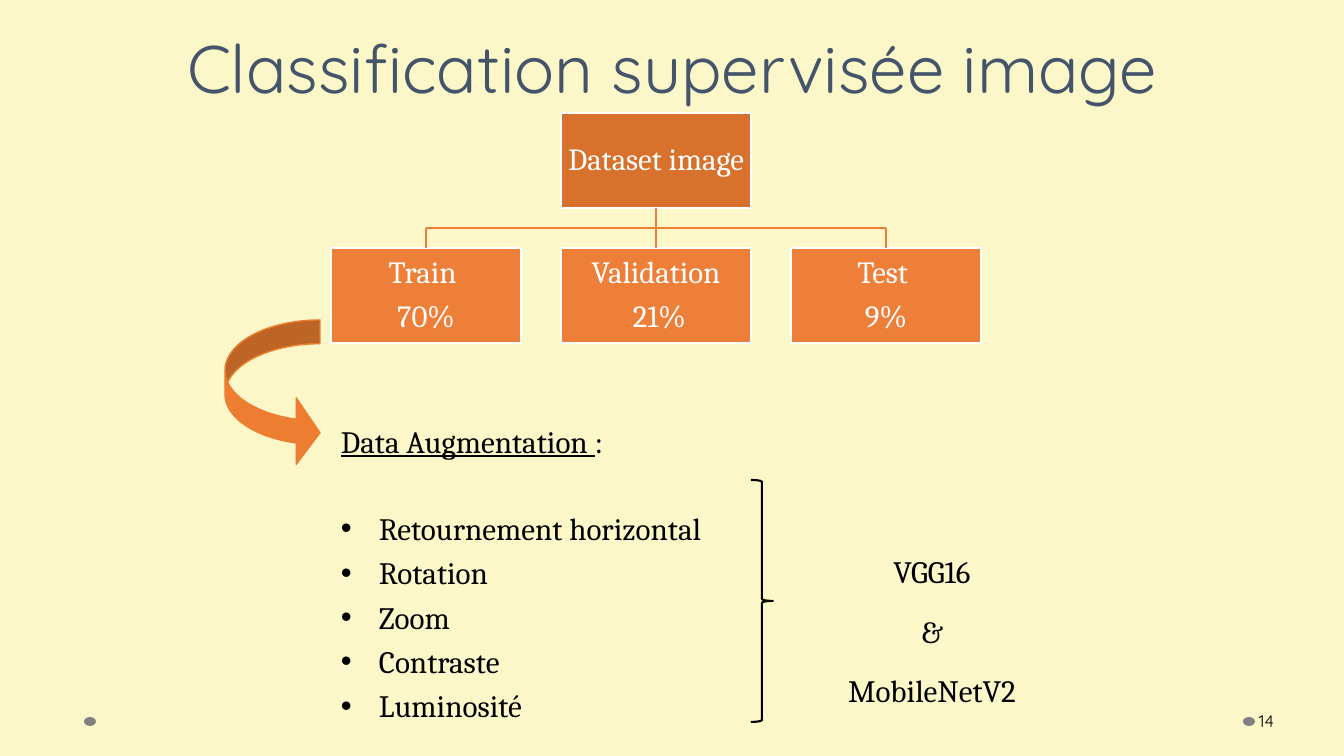
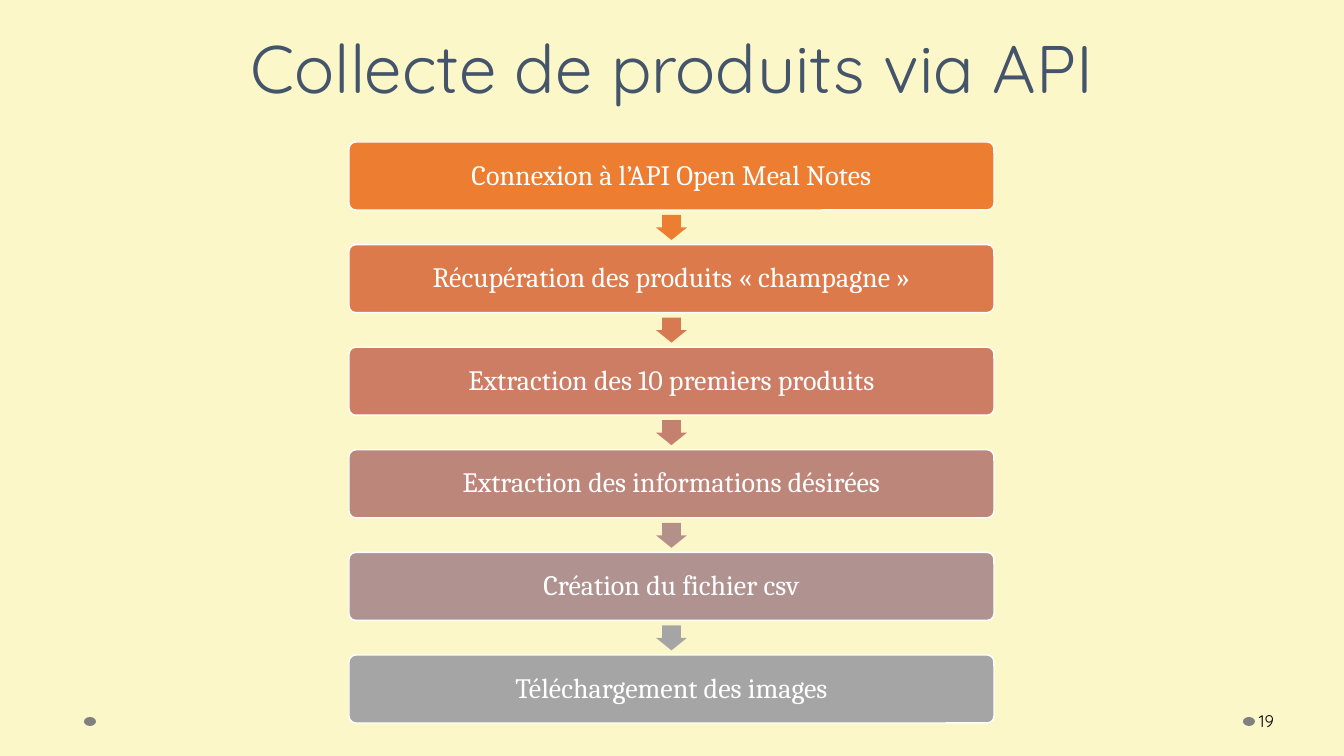
from lxml.etree import SubElement
from pptx import Presentation
from pptx.dml.color import RGBColor
from pptx.enum.shapes import MSO_CONNECTOR, MSO_SHAPE
from pptx.enum.text import MSO_ANCHOR, MSO_AUTO_SIZE, PP_ALIGN
from pptx.oxml.ns import qn
from pptx.util import Pt

PX = 914400 / 100.8
CREAM = RGBColor(0xFC, 0xF7, 0xC9)
SLATE = RGBColor(0x44, 0x54, 0x6A)
GRAY = RGBColor(0x80, 0x80, 0x80)
WHITE = RGBColor(0xFF, 0xFF, 0xFF)
BLACK = RGBColor(0x00, 0x00, 0x00)
ORANGE = RGBColor(0xED, 0x7D, 0x31)
LIGHT_ORANGE = RGBColor(0xED, 0x7F, 0x39)
DARK_ORANGE = RGBColor(0xD7, 0x71, 0x2C)
STEP_COLORS = [ORANGE, RGBColor(0xDC, 0x7A, 0x4B), RGBColor(0xCC, 0x7D, 0x64),
               RGBColor(0xBD, 0x86, 0x7B), RGBColor(0xB0, 0x93, 0x91),
               RGBColor(0xA5, 0xA5, 0xA5)]
ARROW_COLORS = [ORANGE, RGBColor(0xD8, 0x7A, 0x51), RGBColor(0xC4, 0x81, 0x70),
                RGBColor(0xB4, 0x90, 0x8B), RGBColor(0xA5, 0xA5, 0xA5)]


def draw(slide, preset, box, fill=None, line=None, weight=1, adjust=()):
    shape = slide.shapes.add_shape(preset, *[round(n * PX) for n in box])
    shape.shadow.inherit = False
    if fill is None:
        shape.fill.background()
    else:
        shape.fill.solid()
        shape.fill.fore_color.rgb = fill
    if line is None:
        shape.line.fill.background()
    else:
        shape.line.color.rgb = line
        shape.line.width = Pt(weight)
    for index, value in enumerate(adjust):
        shape.adjustments[index] = value
    return shape


def write(frame, text, font="Cambria", size=22.2, color=BLACK, align=PP_ALIGN.LEFT,
          anchor=MSO_ANCHOR.TOP, inset=None, spacing=None, before=0, after=0,
          underline=None, bullet=False, same_line=False):
    frame.word_wrap = True
    frame.auto_size = MSO_AUTO_SIZE.NONE
    frame.vertical_anchor = anchor
    if inset is not None:
        frame.margin_left = frame.margin_right = round(inset * PX)
        frame.margin_top = frame.margin_bottom = round(inset * PX)
    for line in text.split("\n"):
        paragraph = frame.paragraphs[-1]
        if paragraph.runs and not same_line:
            paragraph = frame.add_paragraph()
        paragraph.alignment = align
        paragraph.line_spacing = spacing
        paragraph.space_before = Pt(before)
        paragraph.space_after = Pt(after)
        if bullet:
            properties = paragraph._p.get_or_add_pPr()
            properties.set("marL", str(round(38 * PX)))
            properties.set("indent", str(round(-38 * PX)))
            SubElement(properties, qn("a:buFont")).set("typeface", "Arial")
            SubElement(properties, qn("a:buChar")).set("char", "•")
        run = paragraph.add_run()
        run.text = line
        run.font.name = font
        run.font.size = Pt(size)
        run.font.color.rgb = color
        run.font.underline = underline


prs = Presentation()
prs.slide_width = round(1344 * PX)
prs.slide_height = round(756 * PX)
background = prs.slide_master.background.fill
background.solid()
background.fore_color.rgb = CREAM

slides = []
for heading, number in [("Classification supervisée image", "14"),
                        ("Collecte de produits via API", "19")]:
    slide = prs.slides.add_slide(prs.slide_layouts[5])
    slides.append(slide)
    title = slide.shapes.title
    title.left, title.top, title.width, title.height = [
        round(n * PX) for n in (67, 0, 1210, 112)]
    write(title.text_frame, heading, font="Quicksand", size=48, color=SLATE,
          align=PP_ALIGN.CENTER, anchor=MSO_ANCHOR.BOTTOM, spacing=Pt(48))
    for dot_left in (84, 1243):
        draw(slide, MSO_SHAPE.OVAL, (dot_left, 717, 12, 9), fill=GRAY)
    page = slide.shapes.add_textbox(*[round(n * PX) for n in (1256, 701, 83, 40)])
    write(page.text_frame, number, font="Quicksand", size=12,
          anchor=MSO_ANCHOR.MIDDLE, inset=3)

classification, collection = slides

node_text = dict(size=22, color=WHITE, align=PP_ALIGN.CENTER,
                 anchor=MSO_ANCHOR.MIDDLE, inset=2, spacing=0.9, after=8)
dataset = draw(classification, MSO_SHAPE.RECTANGLE, (561, 113, 190, 95),
               fill=DARK_ORANGE, line=WHITE)
write(dataset.text_frame, "Dataset image", **node_text)

subsets = []
for index, label in enumerate(["Train \n70%", "Validation\n 21%", "Test \n9%"]):
    subset = draw(classification, MSO_SHAPE.RECTANGLE, (331 + 230 * index, 248, 190, 95),
                  fill=LIGHT_ORANGE, line=WHITE)
    write(subset.text_frame, label, **node_text)
    subsets.append(subset)
train, validation, test = subsets

for start, end, source, target in [((656, 208), (656, 248), dataset, validation),
                                   ((426, 228), (886, 228), None, None),
                                   ((426, 228), (426, 248), None, train),
                                   ((886, 228), (886, 248), None, test)]:
    branch = classification.shapes.add_connector(
        MSO_CONNECTOR.STRAIGHT, *[round(n * PX) for n in start + end])
    branch.line.color.rgb = LIGHT_ORANGE
    branch.line.width = Pt(1)
    SubElement(branch._element.spPr, qn("a:effectLst"))
    if source is not None:
        branch.begin_connect(source, 2)
    if target is not None:
        branch.end_connect(target, 0)

draw(classification, MSO_SHAPE.CURVED_RIGHT_ARROW, (225, 320, 95, 146),
     fill=ORANGE, line=ORANGE, adjust=(0.25, 0.7, 0.25))

augmentation = classification.shapes.add_textbox(
    *[round(n * PX) for n in (331, 417, 400, 309)]).text_frame
write(augmentation, "Data Augmentation ", align=PP_ALIGN.JUSTIFY, underline=True)
write(augmentation, ":", align=PP_ALIGN.JUSTIFY, underline=False, same_line=True)
write(augmentation, "Retournement horizontal", align=PP_ALIGN.JUSTIFY,
      before=36, bullet=True)
write(augmentation, "Rotation\nZoom\nContraste\nLuminosité",
      align=PP_ALIGN.JUSTIFY, before=5, bullet=True)

networks = classification.shapes.add_textbox(
    *[round(n * PX) for n in (794, 533, 276, 178)])
write(networks.text_frame, "VGG16\n&\nMobileNetV2", align=PP_ALIGN.CENTER,
      spacing=1.4, before=5)
draw(classification, MSO_SHAPE.RIGHT_BRACE, (751, 480, 22, 242), line=BLACK, weight=1.5)

steps = ["Connexion à l’API Open Meal Notes",
         "Récupération des produits « champagne »",
         "Extraction des 10 premiers produits",
         "Extraction des informations désirées",
         "Création du fichier csv",
         "Téléchargement des images"]
FIRST_TOP, LAST_TOP, STEP_HEIGHT = 142, 655, 68
pitch = (LAST_TOP - FIRST_TOP) / (len(steps) - 1)
for index, (label, color) in enumerate(zip(steps, STEP_COLORS)):
    step = draw(collection, MSO_SHAPE.ROUNDED_RECTANGLE,
                (349, FIRST_TOP + index * pitch, 645, STEP_HEIGHT),
                fill=color, line=WHITE, adjust=(0.1,))
    write(step.text_frame, label, size=20, color=WHITE, align=PP_ALIGN.CENTER,
          anchor=MSO_ANCHOR.MIDDLE, inset=10, spacing=0.9, after=7)
for index, color in enumerate(ARROW_COLORS):
    draw(collection, MSO_SHAPE.DOWN_ARROW,
         (656, FIRST_TOP + STEP_HEIGHT + 5 + index * pitch, 31, 25),
         fill=color, adjust=(0.6, 0.5))

prs.save("out.pptx")
